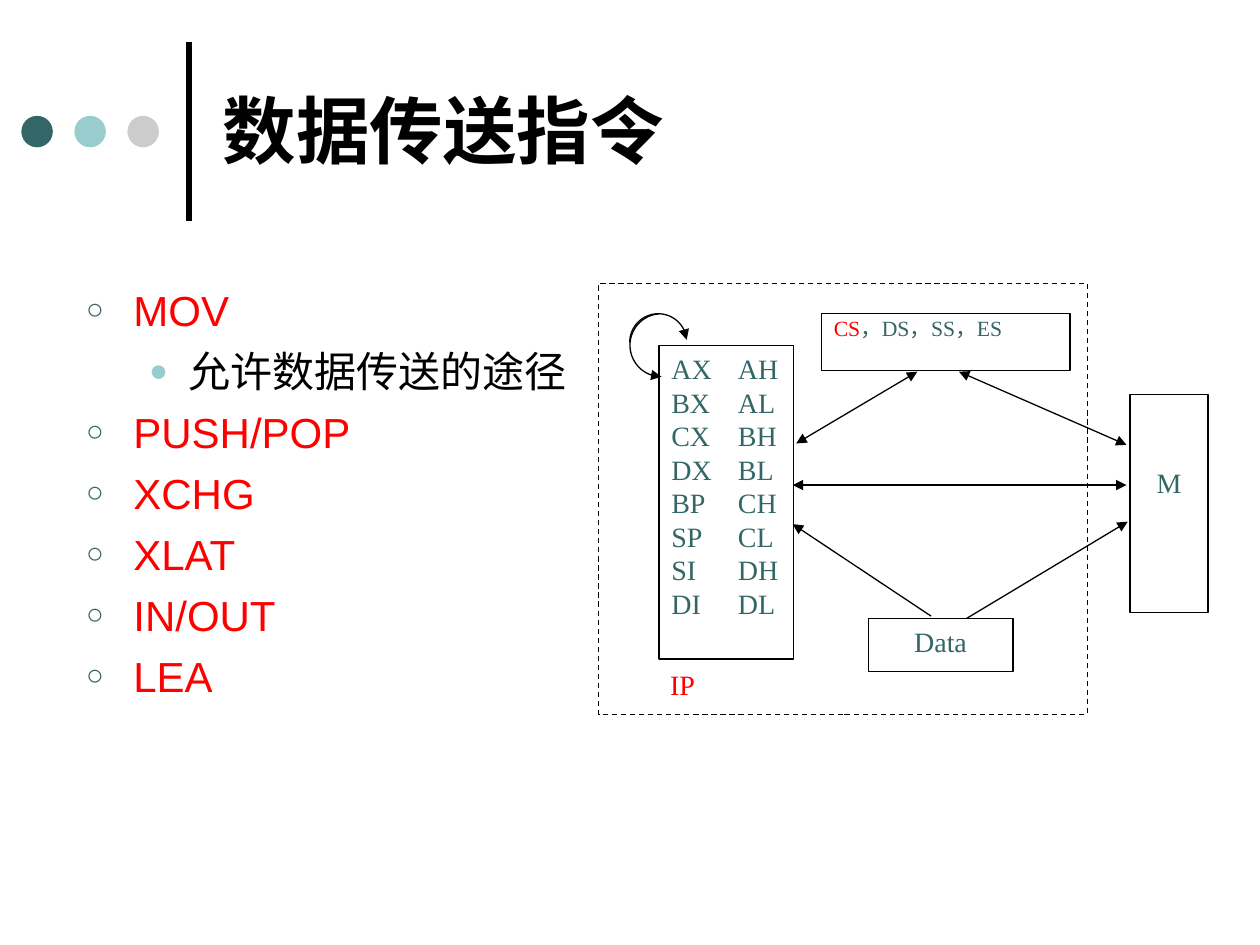
import math

import lxml.etree
import pptx
import pptx.dml.color
import pptx.enum.dml
import pptx.enum.shapes
import pptx.enum.text
import pptx.oxml.ns
import pptx.util

Pt = pptx.util.Pt
ALIGN = pptx.enum.text.PP_ALIGN
ANCHOR = pptx.enum.text.MSO_ANCHOR
SHAPE = pptx.enum.shapes.MSO_SHAPE

BLACK, WHITE, RED = "000000", "FFFFFF", "FF0000"
TEAL, AQUA, GRAY = "336666", "99CCCC", "CCCCCC"
SANS, SERIF = "Arial", "Times New Roman"


def color(code):
    return pptx.dml.color.RGBColor.from_string(code)


def child(parent, tag, **attrs):
    return lxml.etree.SubElement(parent, pptx.oxml.ns.qn(tag), attrs)


class Deck:
    thin = 0.75

    def __init__(self, width, height):
        self.deck = pptx.Presentation()
        self.deck.slide_width, self.deck.slide_height = Pt(width), Pt(height)
        self.slide = self.deck.slides.add_slide(self.deck.slide_layouts[1])
        self.shapes = self.slide.shapes

    def style(self, run, size, ink, face=SERIF, bold=False):
        run.font.name, run.font.size, run.font.bold = face, Pt(size), bold
        run.font.color.rgb = color(ink)

    def place(self, holder, left, top, width, height):
        holder.left, holder.top = Pt(left), Pt(top)
        holder.width, holder.height = Pt(width), Pt(height)
        frame = holder.text_frame
        frame.auto_size = pptx.enum.text.MSO_AUTO_SIZE.NONE
        return frame

    def title(self, text, *area):
        frame = self.place(self.shapes.title, *area)
        frame.vertical_anchor = ANCHOR.MIDDLE
        frame.text = text
        para = frame.paragraphs[0]
        para.alignment = ALIGN.LEFT
        self.style(para.runs[0], 42, BLACK, SANS, True)

    def list(self, items, *area):
        """Fill the body with (level, text) items."""
        looks = (("○", TEAL, "70000", 27, -27, RED),
                 ("●", AQUA, "75000", 58.5, -22.5, BLACK))
        frame = self.place(self.slide.placeholders[1], *area)
        frame.text = "\n".join(text for _, text in items)
        for i, (para, (level, _)) in enumerate(zip(frame.paragraphs, items)):
            mark, tint, scale, margin, indent, ink = looks[level]
            para.level = level
            para.space_before = Pt(6 if i else 0)
            props = para._p.get_or_add_pPr()
            props.set("marL", str(Pt(margin)))
            props.set("indent", str(Pt(indent)))
            child(child(props, "a:buClr"), "a:srgbClr", val=tint)
            child(props, "a:buSzPct", val=scale)
            child(props, "a:buFont", typeface=SANS)
            child(props, "a:buChar", char=mark)
            self.style(para.runs[0], 24, ink, SANS)

    def shape(self, kind, left, top, width, height, fill=None, line=None):
        item = self.shapes.add_shape(kind, Pt(left), Pt(top), Pt(width), Pt(height))
        self.paint(item, fill, line)
        return item

    def paint(self, item, fill, line):
        item.shadow.inherit = False
        if fill:
            item.fill.solid()
            item.fill.fore_color.rgb = color(fill)
        else:
            item.fill.background()
        if line:
            item.line.color.rgb = color(line)
            item.line.width = Pt(self.thin)
        else:
            item.line.fill.background()

    def box(self, text, area, ink=TEAL, line=BLACK, size=16,
            align=ALIGN.CENTER, drop=3.6, tab=None):
        """Draw a labelled box whose text starts drop points below its top."""
        item = self.shape(SHAPE.RECTANGLE, *area, WHITE, line)
        frame = item.text_frame
        frame.word_wrap = True
        frame.vertical_anchor = ANCHOR.TOP
        frame.margin_left = frame.margin_right = Pt(7.2)
        frame.margin_top, frame.margin_bottom = Pt(drop), Pt(3.6)
        frame.text = text
        for para in frame.paragraphs:
            para.alignment = align
            if tab:
                stops = child(para._p.get_or_add_pPr(), "a:tabLst")
                child(stops, "a:tab", pos=str(Pt(tab)), algn="l")
            for run in para.runs:
                self.style(run, size, ink)
        return frame

    def tips(self, item, head, tail):
        line = item.line._get_or_add_ln()
        for tag, shown in (("a:headEnd", head), ("a:tailEnd", tail)):
            if shown:
                child(line, tag, type="triangle")

    def line(self, start, end, width=thin, head=False, tail=False):
        item = self.shapes.add_connector(
            pptx.enum.shapes.MSO_CONNECTOR.STRAIGHT, *map(Pt, start + end))
        item.line.color.rgb = color(BLACK)
        item.line.width = Pt(width)
        child(item._element.spPr, "a:effectLst")
        self.tips(item, head, tail)

    def arc(self, mid, radius, first, last, head=False, tail=False):
        """Draw a clockwise arc between two angles in degrees."""
        points = []
        for step in range(first, last + 1, 5):
            turn = math.radians(step)
            points.append((Pt(mid[0] + radius * math.cos(turn)),
                           Pt(mid[1] + radius * math.sin(turn))))
        pen = self.shapes.build_freeform(*points[0])
        pen.add_line_segments(points[1:], close=False)
        item = pen.convert_to_shape()
        self.paint(item, None, BLACK)
        self.tips(item, head, tail)


def main():
    deck = Deck(720, 540)
    deck.line((108, 126), (108, 24), width=3)
    for i, fill in enumerate((TEAL, AQUA, GRAY)):
        deck.shape(SHAPE.OVAL, 12.2 + 30.3 * i, 66.2, 18, 18, fill)

    deck.title("数据传送指令", 120, 16.5, 546, 115)
    deck.list([(0, "MOV"), (1, "允许数据传送的途径"), (0, "PUSH/POP"),
               (0, "XCHG"), (0, "XLAT"), (0, "IN/OUT"), (0, "LEA")],
              42, 159, 318, 321)

    segs = deck.box("CS", (469.4, 179.3, 142, 32.4), RED, size=12.4,
                    align=ALIGN.JUSTIFY)
    para = segs.paragraphs[0]
    para.line_spacing = 0.8
    rest = para.add_run()
    rest.text = "，DS，SS，ES"
    deck.style(rest, 12.4, TEAL)

    pairs = ("AX AH", "BX AL", "CX BH", "DX BL",
             "BP CH", "SP CL", "SI DH", "DI DL")
    deck.box("\n".join(pair.replace(" ", "\t") for pair in pairs),
             (376.6, 197.3, 77, 179.3), align=ALIGN.LEFT, tab=38)
    deck.box("M", (645.8, 225.4, 44.6, 124.6), drop=40.4)
    deck.box("IP", (375.8, 378, 44.6, 26.6), RED, None, align=ALIGN.JUSTIFY)
    deck.box("Data", (496.1, 353.5, 82.8, 30.2))

    frame = deck.shape(SHAPE.RECTANGLE, 342, 162, 279.4, 246.2, line=BLACK)
    frame.line.dash_style = pptx.enum.dml.MSO_LINE.DASH

    for start, end in (((453, 277.2), (643.7, 277.2)),
                       ((548, 212.4), (643.7, 254.2)),
                       ((524.2, 212.4), (455, 253.4))):
        deck.line(start, end, head=True, tail=True)
    for start, end in (((532.1, 352.1), (453, 299.5)),
                       ((552.2, 353.5), (644.4, 298.1))):
        deck.line(start, end, tail=True)

    deck.arc((376.2, 195.6), 16.3, 180, 355, tail=True)
    deck.arc((378, 197.3), 18, 90, 265, head=True)
    deck.deck.save("out.pptx")


if __name__ == "__main__":
    main()
